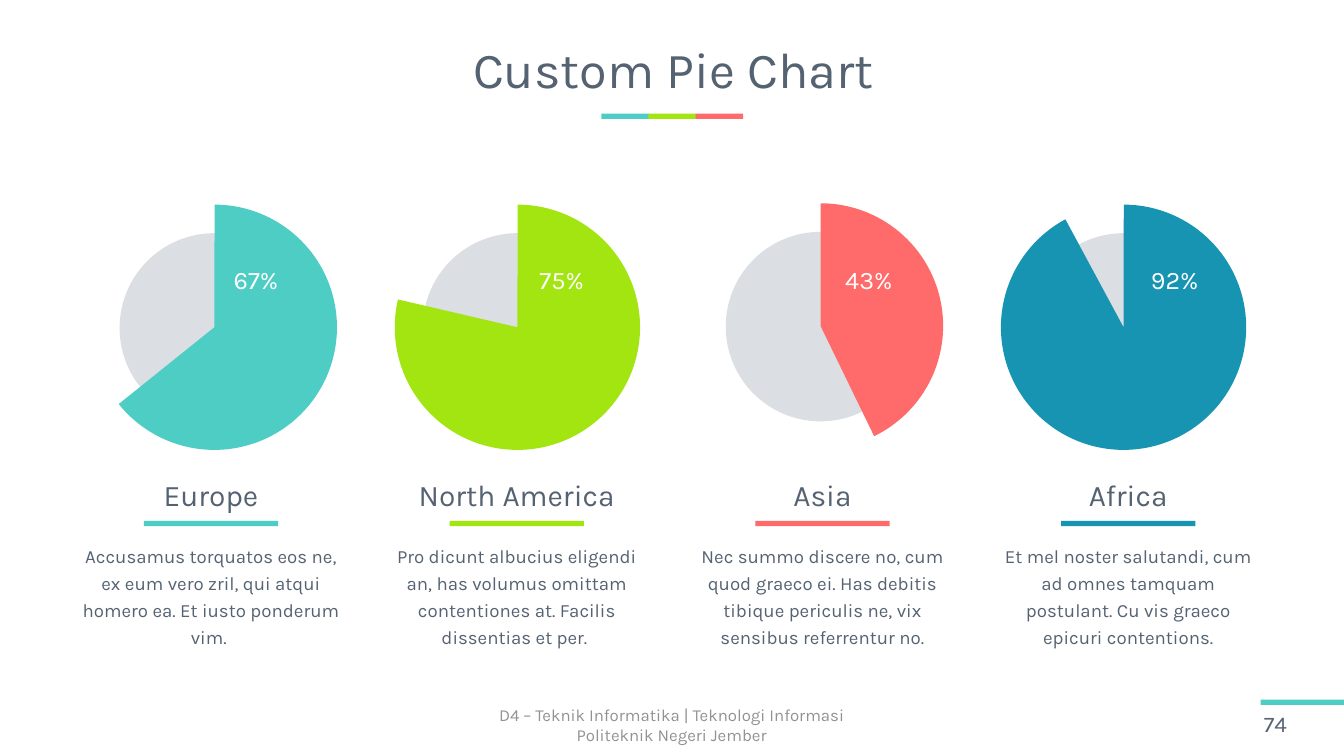
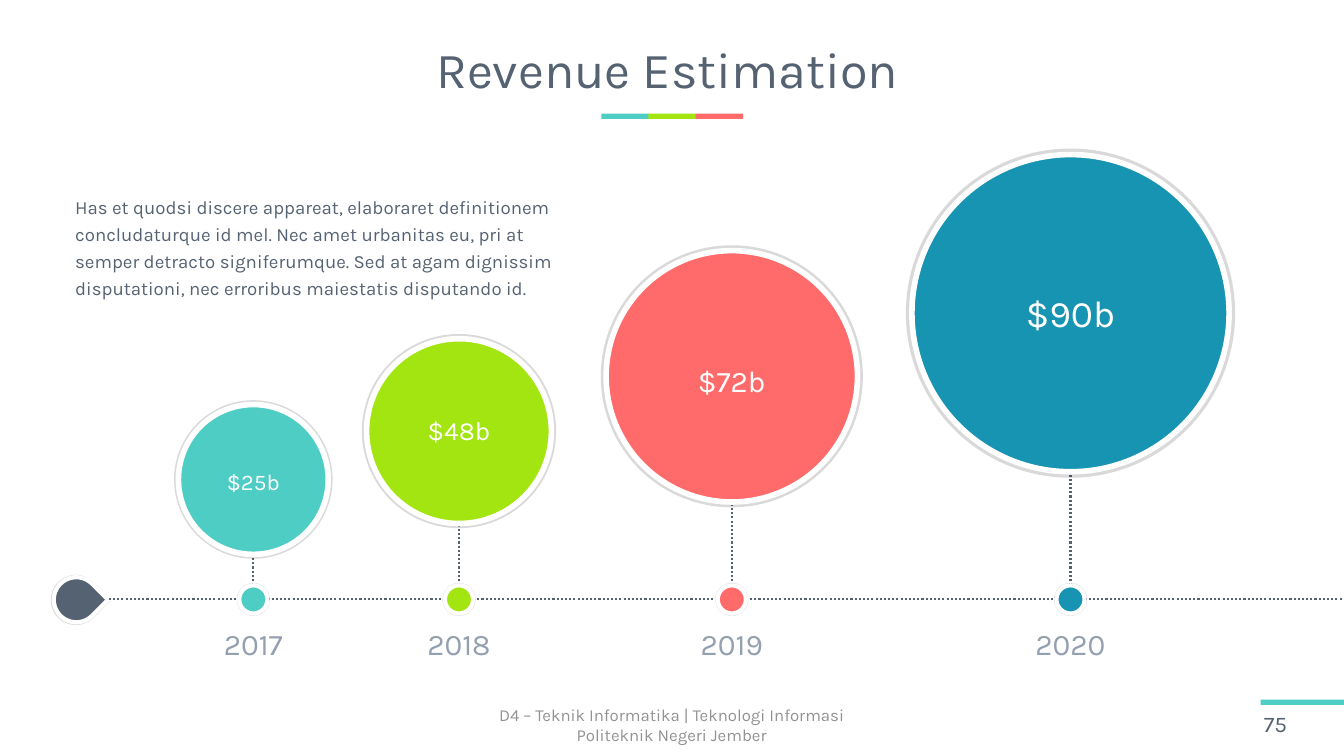
from dataclasses import dataclass
from typing import NamedTuple

from lxml.etree import SubElement
from pptx import Presentation
from pptx.dml.color import RGBColor as Rgb
from pptx.enum.dml import MSO_LINE_DASH_STYLE as Dash
from pptx.enum.shapes import MSO_CONNECTOR as Link, MSO_SHAPE as Kind
from pptx.enum.text import MSO_ANCHOR as Anchor, MSO_AUTO_SIZE as Fit, PP_ALIGN as Align
from pptx.oxml.ns import qn
from pptx.util import Inches, Pt


@dataclass(frozen=True)
class Theme:
    font: str = "Karla"
    teal: str = "4ECDC4"
    lime: str = "A3E511"
    coral: str = "FF6B6B"
    blue: str = "1694B2"
    ink: str = "556272"
    mist: str = "94A0AF"
    pale: str = "DBDFE4"
    grey: str = "929292"
    white: str = "FFFFFF"
    title: int = 54
    head: int = 32
    share: int = 27
    number: int = 24
    body: int = 20
    foot: int = 18


T = Theme()
WIDTH, HEIGHT = 20, 11.25
BAR = 0.08


class Box(NamedTuple):
    left: float
    top: float
    width: float
    height: float

    def inches(self) -> list:
        return [Inches(value) for value in self]


def center(x: float, y: float, width: float, height: float) -> Box:
    return Box(x - width / 2, y - height / 2, width, height)


@dataclass(frozen=True)
class Region:
    name: str
    share: str
    end: float  # angle where the wedge stops, in degrees
    hue: str
    note: str
    mid: float = 4.87


@dataclass(frozen=True)
class Year:
    name: str
    value: str
    x: float
    top: float
    size: float
    text_y: float
    points: int
    hue: str


# Drawing helpers
def style(frame, size: int, hue: str, align=Align.CENTER, lead=None, before=None) -> None:
    for para in frame.paragraphs:
        para.alignment = align
        if lead:
            para.line_spacing = lead
        if before:
            para.space_before = Pt(before)
        for run in para.runs:
            run.font.name, run.font.size = T.font, Pt(size)
            run.font.color.rgb = Rgb.from_string(hue)


def write(slide, text: str, box: Box, size: int, hue: str, anchor=Anchor.TOP,
          wrap: bool = True, **look):
    frame = slide.shapes.add_textbox(*box.inches()).text_frame
    frame.word_wrap = wrap
    frame.auto_size = Fit.NONE if wrap else Fit.SHAPE_TO_FIT_TEXT
    frame.vertical_anchor = anchor
    frame.text = text
    style(frame, size, hue, **look)


def prose(slide, text: str, box: Box, size: int, hue: str, **look) -> None:
    write(slide, text, box, size, hue, lead=1.2, before=12, **look)


def shape(slide, kind, box: Box, hue: str):
    item = slide.shapes.add_shape(kind, *box.inches())
    item.shadow.inherit = False
    item.fill.solid()
    item.fill.fore_color.rgb = Rgb.from_string(hue)
    item.line.fill.background()
    return item


def halo(slide, kind, box: Box, hue: str, rim: float):
    """Shape with a white rim and a thin translucent ring around it."""
    item = shape(slide, kind, box, hue)
    item.line.color.rgb = Rgb.from_string(T.white)
    item.line.width = Pt(rim)
    glow = SubElement(item._element.spPr.find(qn("a:effectLst")), qn("a:outerShdw"),
                      sx="102000", sy="102000", algn="ctr", rotWithShape="0")
    tint = SubElement(glow, qn("a:srgbClr"), val="000000")
    SubElement(tint, qn("a:alpha"), val="15000")
    return item


def dots(slide, x1: float, y1: float, x2: float, y2: float) -> None:
    ends = [Inches(value) for value in (x1, y1, x2, y2)]
    item = slide.shapes.add_connector(Link.STRAIGHT, *ends)
    item.line.color.rgb = Rgb.from_string(T.ink)
    item.line.width = Pt(2.25)
    item.line.dash_style = Dash.ROUND_DOT
    SubElement(item._element.spPr, qn("a:effectLst"))


# Shared slide frame
def start(deck, title: str, number: int):
    slide = deck.slides.add_slide(deck.slide_layouts[5])
    for i, hue in enumerate((T.teal, T.lime, T.coral)):
        shape(slide, Kind.RECTANGLE, Box(8.95 + 0.7 * i, 1.69, 0.71, BAR), hue)
    shape(slide, Kind.RECTANGLE, Box(18.76, 10.41, 1.24, BAR), T.teal)

    head = slide.shapes.title
    head.left, head.top, head.width, head.height = Box(0.54, 0.38, 18.96, 1.4).inches()
    frame = head.text_frame
    frame.text = title
    frame.word_wrap, frame.auto_size = True, Fit.NONE
    frame.vertical_anchor = Anchor.MIDDLE
    style(frame, T.title, T.ink, lead=0.9)

    write(slide, "D4 – Teknik Informatika | Teknologi Informasi\nPoliteknik Negeri Jember",
          Box(6.62, 10.48, 6.75, 0.6), T.foot, T.grey, Anchor.MIDDLE)
    write(slide, str(number), Box(18.71, 10.5, 1.29, 0.53), T.number, T.ink,
          Anchor.MIDDLE, align=Align.LEFT)
    return slide


# Slide with four pies
REGIONS = (
    Region("Europe", "67%", 141.24, T.teal,
           "Accusamus torquatos eos ne, ex eum vero zril, qui atqui homero ea. "
           "Et iusto ponderum vim. "),
    Region("North America", "75%", 193.1, T.lime,
           "Pro dicunt albucius eligendi an, has volumus omittam contentiones at. "
           "Facilis dissentias et per. "),
    Region("Asia", "43%", 64.06, T.coral,
           "Nec summo discere no, cum quod graeco ei. Has debitis tibique periculis ne, "
           "vix sensibus referrentur no.", 4.85),
    Region("Africa", "92%", 241.68, T.blue,
           "Et mel noster salutandi, cum ad omnes tamquam postulant. "
           "Cu vis graeco epicuri contentions."),
)


def pies(deck) -> None:
    slide = start(deck, "Custom Pie Chart", 74)
    for i, region in enumerate(REGIONS):
        pie_x, x = 3.19 + 4.51 * i, 3.14 + 4.55 * i
        shape(slide, Kind.OVAL, center(pie_x, region.mid + 0.01, 2.82, 2.82), T.pale)
        # A pie angle is stored in 1/60000 degree, an adjustment in 1/100000
        wedge = shape(slide, Kind.PIE, center(pie_x, region.mid, 3.65, 3.65), region.hue)
        wedge.adjustments[0] = 270.1 * 0.6
        wedge.adjustments[1] = region.end * 0.6
        write(slide, region.share, Box(x + 0.24, 3.87, 0.96, 0.56), T.share, T.white,
              Anchor.BOTTOM, wrap=False, align=Align.LEFT)
        prose(slide, region.name, Box(x - 2.19, 6.93, 4.38, 0.79), T.head, T.ink)
        prose(slide, region.note, Box(x - 2.03, 7.99, 4.06, 2.08), T.body, T.ink)
        shape(slide, Kind.RECTANGLE, Box(x - 1, 7.75, 2, BAR), region.hue)


# Slide with the timeline
YEARS = (
    Year("2017", "$25b", 3.77, 6.02, 2.23, 7.13, 24, T.teal),
    Year("2018", "$48b", 6.83, 5.04, 2.75, 6.35, 28, T.lime),
    Year("2019", "$72b", 10.89, 3.73, 3.74, 5.61, 32, T.coral),
    Year("2020", "$90b", 15.93, 2.3, 4.72, 4.58, 40, T.blue),
)
AXIS, DOT = 8.92, 0.42


def revenue(deck) -> None:
    slide = start(deck, "Revenue Estimation ", 75)
    halo(slide, Kind.TEAR, Box(0.8, 8.59, 0.67, 0.67), T.ink, 4.5).rotation = 45

    # Axis parts between the dots
    starts = [1.62] + [year.x + DOT / 2 for year in YEARS]
    stops = [year.x - DOT / 2 for year in YEARS] + [WIDTH]
    for left, right in zip(starts, stops):
        dots(slide, left, AXIS, right, AXIS)

    for year in YEARS:
        dots(slide, year.x, AXIS - DOT / 2, year.x, year.top + year.size)
        halo(slide, Kind.OVAL, center(year.x, AXIS, DOT, DOT), year.hue, 4.5)
        ball = Box(year.x - year.size / 2, year.top, year.size, year.size)
        halo(slide, Kind.OVAL, ball, year.hue, 6)
        prose(slide, year.value, center(year.x, year.text_y, year.size, 1.06),
              year.points, T.white, anchor=Anchor.MIDDLE)
        prose(slide, year.name, Box(year.x - 1.6, 9.16, 3.2, 0.79), T.head, T.mist)

    prose(slide, "Has et quodsi discere appareat, elaboraret definitionem concludaturque "
          "id mel. Nec amet urbanitas eu, pri at semper detracto signiferumque. Sed at "
          "agam dignissim disputationi, nec erroribus maiestatis disputando id.",
          Box(1.02, 2.8, 7.42, 2.09), T.body, T.ink, align=Align.LEFT)


def main() -> None:
    deck = Presentation()
    deck.slide_width, deck.slide_height = Inches(WIDTH), Inches(HEIGHT)
    pies(deck)
    revenue(deck)
    deck.save("out.pptx")


if __name__ == "__main__":
    main()
